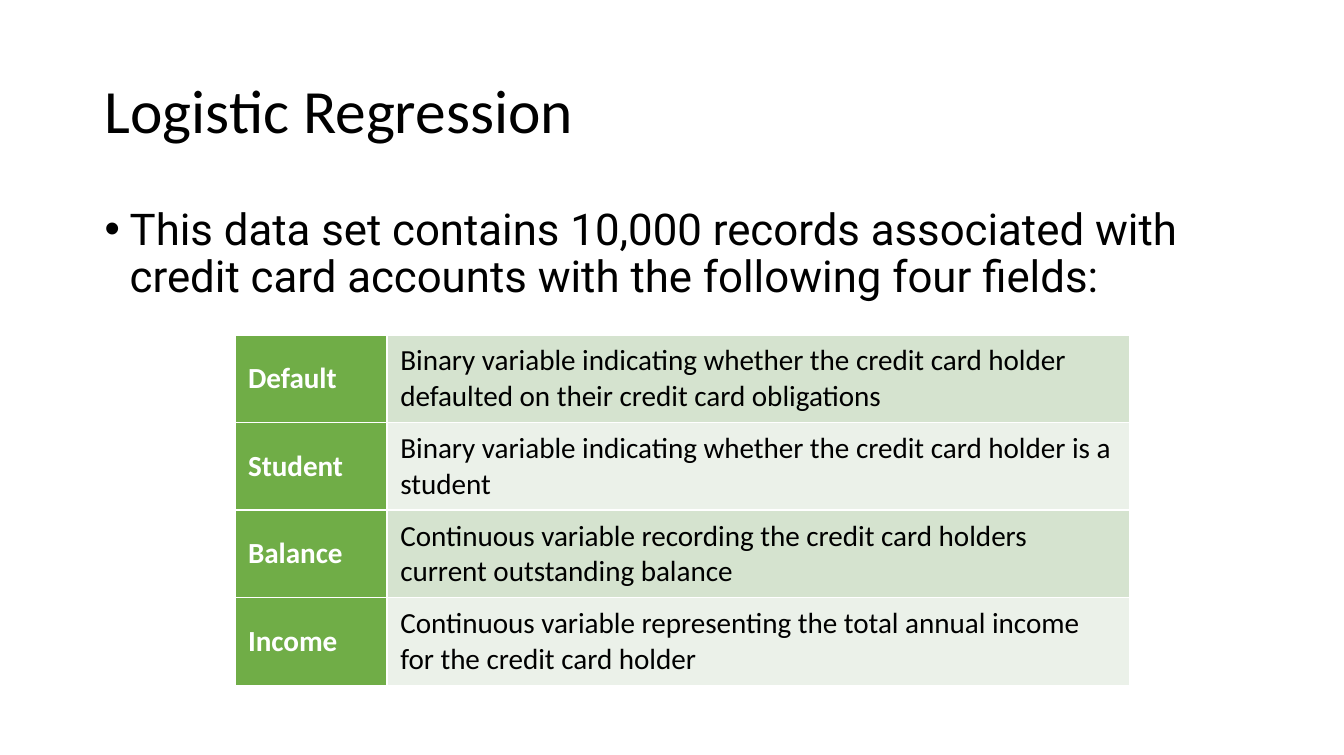
from dataclasses import dataclass

from lxml.etree import SubElement
from pptx import Presentation
from pptx.dml.color import RGBColor as Rgb
from pptx.enum.text import MSO_ANCHOR as Anchor, PP_ALIGN as Align
from pptx.oxml.ns import qn
from pptx.util import Inches, Pt


@dataclass(frozen=True)
class Theme:
    """Hold the colours, fonts and type sizes."""
    ink: str = "000000"
    white: str = "FFFFFF"
    green: str = "70AD47"
    bands: tuple = ("D5E3CF", "EBF1E9")
    sans: str = "Calibri"
    body: str = "Roboto"
    big: float = 33.7
    mid: float = 24
    small: float = 16


THEME = Theme()
FIELDS = (
    ("Default", "Binary variable indicating whether the credit card holder "
                "defaulted on their credit card obligations"),
    ("Student", "Binary variable indicating whether the credit card holder is a student"),
    ("Balance", "Continuous variable recording the credit card holders "
                "current outstanding balance"),
    ("Income", "Continuous variable representing the total annual income "
               "for the credit card holder"),
)


def style(para, face, size, color, bold=False):
    """Set the font of a paragraph."""
    font = para.font
    font.name, font.size, font.bold = face, Pt(size), bold
    font.color.rgb = Rgb.from_string(color)


def add_text(slide, box, text, face, size, anchor=Anchor.TOP):
    """Add a wrapped text box and return its paragraph."""
    frame = slide.shapes.add_textbox(*map(Inches, box)).text_frame
    frame.word_wrap = True
    frame.vertical_anchor = anchor
    para = frame.paragraphs[0]
    para.text = text
    para.line_spacing = 0.9
    style(para, face, size, THEME.ink)
    return para


def add_bullet(para, indent):
    """Give a paragraph a round bullet with a hanging indent."""
    props = para._p.get_or_add_pPr()
    props.set("marL", str(Inches(indent)))
    props.set("indent", str(-Inches(indent)))
    SubElement(props, qn("a:buFont")).set("typeface", "Arial")
    SubElement(props, qn("a:buChar")).set("char", "•")


def add_edges(cell):
    """Draw a thin white line on each side of a cell."""
    props = cell._tc.get_or_add_tcPr()
    for spot, side in enumerate(("lnL", "lnR", "lnT", "lnB")):
        line = props.makeelement(qn(f"a:{side}"), {"w": str(Pt(1))})
        fill = SubElement(line, qn("a:solidFill"))
        SubElement(fill, qn("a:srgbClr")).set("val", THEME.white)
        props.insert(spot, line)


def fill_cell(cell, text, back, color, bold):
    """Write and colour one table cell."""
    cell.fill.solid()
    cell.fill.fore_color.rgb = Rgb.from_string(back)
    cell.vertical_anchor = Anchor.MIDDLE
    para = cell.text_frame.paragraphs[0]
    para.text = text
    para.alignment = Align.LEFT
    style(para, THEME.sans, THEME.small, color, bold)
    add_edges(cell)


def add_fields(slide, box, widths):
    """Add the table of field names and their meanings."""
    table = slide.shapes.add_table(len(FIELDS), 2, *map(Inches, box)).table
    table.first_row = False
    table.first_col = True
    for col, width in zip(table.columns, widths):
        col.width = Inches(width)
    for row, (name, note) in enumerate(FIELDS):
        band = THEME.bands[row % 2]
        fill_cell(table.cell(row, 0), name, THEME.green, THEME.white, True)
        fill_cell(table.cell(row, 1), note, band, THEME.ink, False)


def main():
    """Build the slide and save it."""
    deck = Presentation()
    deck.slide_width, deck.slide_height = Inches(10.24), Inches(5.75)
    slide = deck.slides.add_slide(deck.slide_layouts[6])
    add_text(slide, (0.7, 0.31, 8.83, 1.11), "Logistic Regression",
             THEME.sans, THEME.big, Anchor.MIDDLE)
    intro = add_text(slide, (0.7, 1.53, 8.83, 3.65),
                     "This data set contains 10,000 records associated with "
                     "credit card accounts with the following four fields:",
                     THEME.body, THEME.mid)
    intro.space_before = Pt(7.7)
    add_bullet(intro, 0.19)
    add_fields(slide, (1.79, 2.55, 6.82, 2.67), (1.16, 5.66))
    deck.save("out.pptx")


main()
